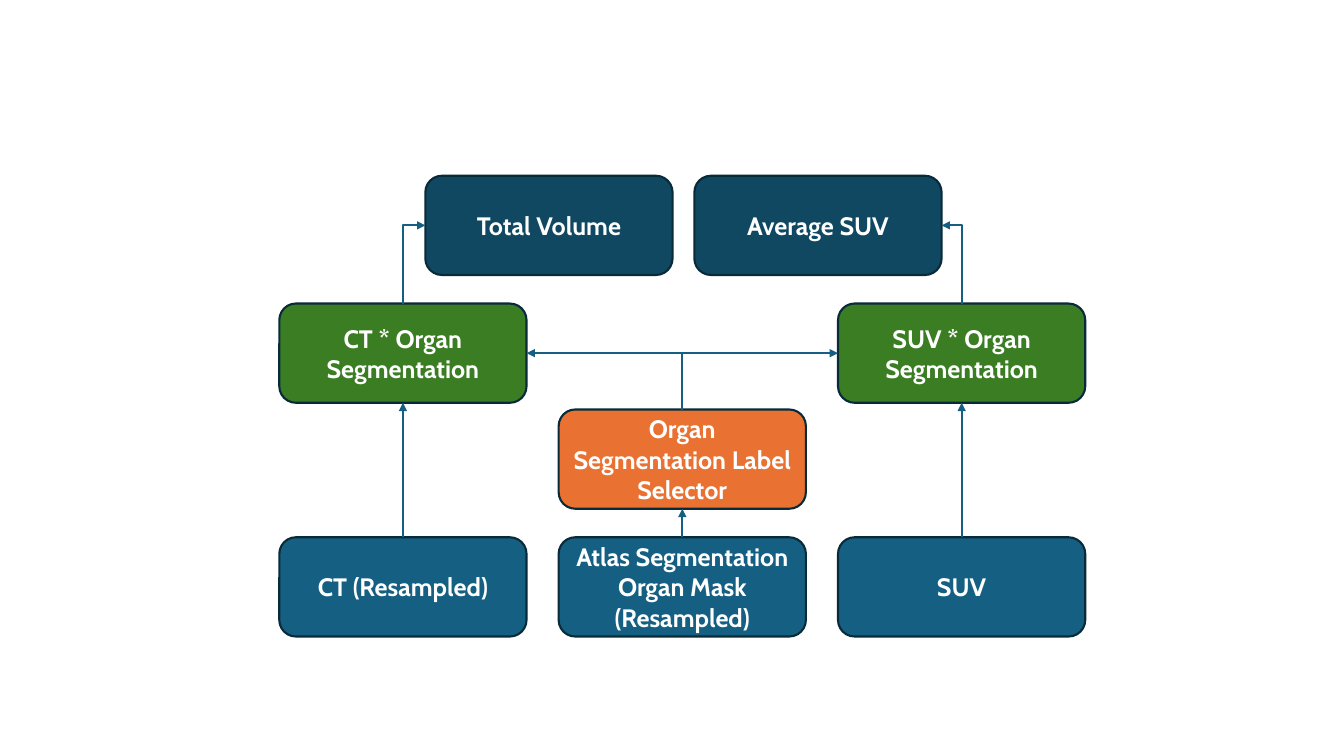
from pptx import Presentation
from pptx.dml.color import RGBColor
from pptx.enum.shapes import MSO_CONNECTOR as Link, MSO_SHAPE as Shape
from pptx.enum.text import MSO_ANCHOR, PP_ALIGN
from pptx.oxml.ns import qn
from pptx.oxml.xmlchemy import OxmlElement
from pptx.util import Cm, Pt

BLUE = RGBColor(0x15, 0x60, 0x82)
NAVY = RGBColor(0x10, 0x48, 0x62)
GREEN = RGBColor(0x3B, 0x7D, 0x23)
ORANGE = RGBColor(0xE9, 0x71, 0x32)
OUTLINE = RGBColor(0x09, 0x2A, 0x39)
WHITE = RGBColor(0xFF, 0xFF, 0xFF)

FONT = "Cabin"
LINE_WIDTH = Pt(1.5)
STEP_WIDTH, STEP_HEIGHT = Cm(6.23), Cm(2.5)
CT_X, ORGAN_X, SUV_X = (Cm(7.04 + 7.04 * column) for column in range(3))
VOLUME_X, AVERAGE_X = Cm(10.72), Cm(17.5)
INPUT_Y, SELECTOR_Y, PRODUCT_Y, RESULT_Y = Cm(13.54), Cm(10.32), Cm(7.65), Cm(4.43)

# Connection sites of a rounded rectangle
TOP, LEFT, BOTTOM, RIGHT = range(4)


def add_step(slide, label, left, top, color):
    step = slide.shapes.add_shape(
        Shape.ROUNDED_RECTANGLE, left, top, STEP_WIDTH, STEP_HEIGHT)
    step.shadow.inherit = False
    step.fill.solid()
    step.fill.fore_color.rgb = color
    step.line.color.rgb = OUTLINE
    step.line.width = LINE_WIDTH
    frame = step.text_frame
    frame.word_wrap = True
    frame.vertical_anchor = MSO_ANCHOR.MIDDLE
    paragraph = frame.paragraphs[0]
    paragraph.alignment = PP_ALIGN.CENTER
    run = paragraph.add_run()
    run.text = label
    run.font.name = FONT
    run.font.size = Pt(18)
    run.font.bold = True
    run.font.color.rgb = WHITE
    return step


def bend_up_then_sideways(arrow):
    """Turn a connector into one corner: first up, then left or right."""
    start_x, start_y = arrow.begin_x, arrow.begin_y
    end_x, end_y = arrow.end_x, arrow.end_y
    rise, run = start_y - end_y, abs(end_x - start_x)
    properties = arrow._element.spPr
    properties.find(qn("a:prstGeom")).set("prst", "bentConnector2")
    transform = properties.find(qn("a:xfrm"))
    transform.attrib.clear()
    transform.set("rot", "16200000")
    if end_x < start_x:
        transform.set("flipV", "1")
    arrow.left = (start_x + end_x - rise) // 2
    arrow.top = (start_y + end_y - run) // 2
    arrow.width, arrow.height = rise, run


def connect(slide, source, target, entry=BOTTOM):
    """Draw an arrow from the top of source to the entry side of target."""
    kind = Link.STRAIGHT if entry == BOTTOM else Link.ELBOW
    arrow = slide.shapes.add_connector(kind, 0, 0, 0, 0)
    arrow.begin_connect(source, TOP)
    arrow.end_connect(target, entry)
    if kind == Link.ELBOW:
        bend_up_then_sideways(arrow)
    arrow.line.color.rgb = BLUE
    arrow.line.width = LINE_WIDTH
    head = OxmlElement("a:tailEnd")
    head.set("type", "triangle")
    arrow.line._get_or_add_ln().append(head)
    arrow._element.spPr.append(OxmlElement("a:effectLst"))


def main():
    presentation = Presentation()
    presentation.slide_width, presentation.slide_height = Cm(33.87), Cm(19.05)
    slide = presentation.slides.add_slide(presentation.slide_layouts[6])

    ct = add_step(slide, "CT (Resampled)", CT_X, INPUT_Y, BLUE)
    suv = add_step(slide, "SUV", SUV_X, INPUT_Y, BLUE)
    atlas = add_step(slide, "Atlas Segmentation Organ Mask (Resampled)",
                     ORGAN_X, INPUT_Y, BLUE)
    selector = add_step(slide, "Organ Segmentation Label Selector",
                        ORGAN_X, SELECTOR_Y, ORANGE)
    ct_organ = add_step(slide, "CT * Organ Segmentation", CT_X, PRODUCT_Y, GREEN)
    suv_organ = add_step(slide, "SUV * Organ Segmentation", SUV_X, PRODUCT_Y, GREEN)
    volume = add_step(slide, "Total Volume", VOLUME_X, RESULT_Y, NAVY)
    average = add_step(slide, "Average SUV", AVERAGE_X, RESULT_Y, NAVY)

    connect(slide, ct, ct_organ)
    connect(slide, suv, suv_organ)
    connect(slide, selector, ct_organ, RIGHT)
    connect(slide, selector, suv_organ, LEFT)
    connect(slide, atlas, selector)
    connect(slide, ct_organ, volume, LEFT)
    connect(slide, suv_organ, average, RIGHT)

    presentation.save("out.pptx")


if __name__ == "__main__":
    main()
